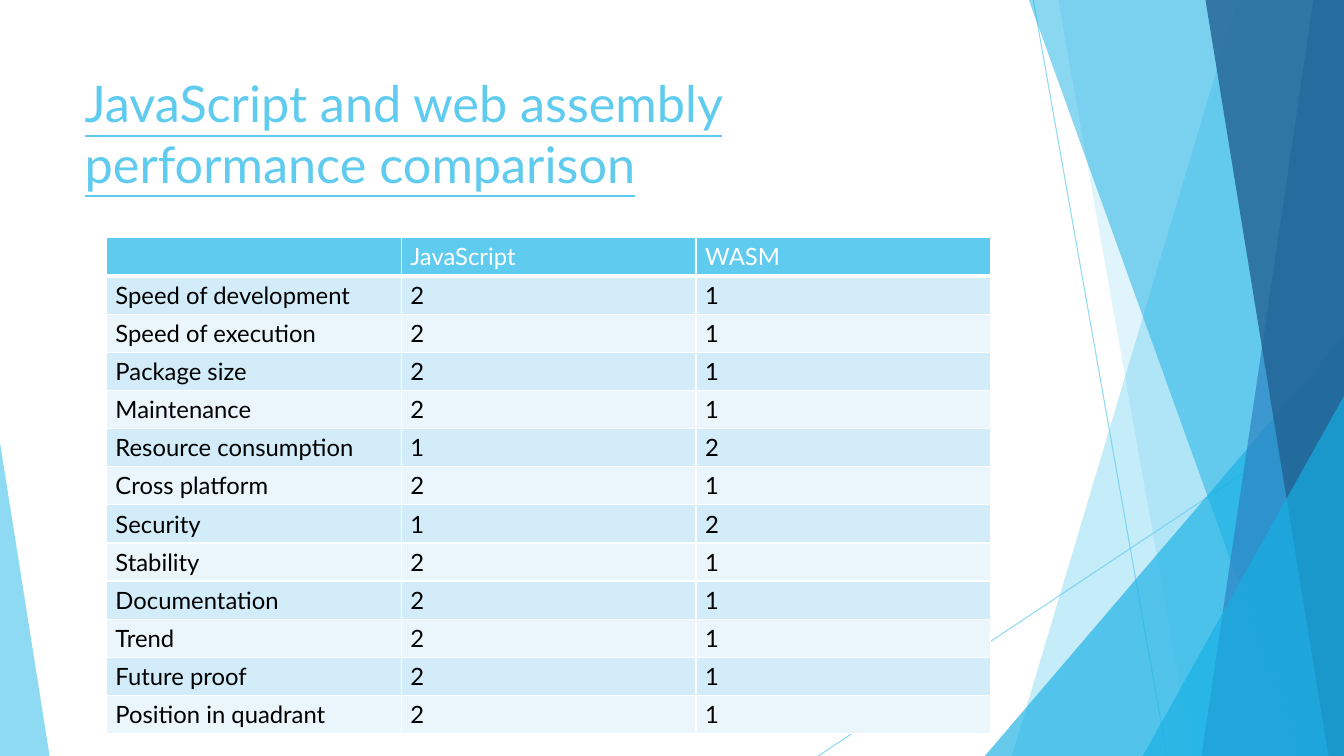
import pptx
import pptx.dml.color
import pptx.enum.shapes
import pptx.enum.text
import pptx.oxml
import pptx.oxml.ns
import pptx.util
from dataclasses import dataclass
from lxml import etree

Cm = pptx.util.Cm
Pt = pptx.util.Pt
qn = pptx.oxml.ns.qn
WIDTH, HEIGHT = 33.87, 19.05


@dataclass(frozen=True)
class Theme:
    font: str = "Lato"
    title_size: float = 36
    table_size: float = 17
    sky: str = "5FCBEF"
    cyan: str = "17B0E4"
    blue: str = "2E83C3"
    navy: str = "226292"
    white: str = "FFFFFF"
    black: str = "000000"
    band_dark: str = "D2ECF9"
    band_light: str = "EAF6FC"


THEME = Theme()

ROWS = [
    ("", "JavaScript", "WASM"),
    ("Speed of development", "2", "1"),
    ("Speed of execution", "2", "1"),
    ("Package size", "2", "1"),
    ("Maintenance", "2", "1"),
    ("Resource consumption", "1", "2"),
    ("Cross platform", "2", "1"),
    ("Security", "1", "2"),
    ("Stability", "2", "1"),
    ("Documentation", "2", "1"),
    ("Trend", "2", "1"),
    ("Future proof", "2", "1"),
    ("Position in quadrant", "2", "1"),
]


def rgb(color):
    return pptx.dml.color.RGBColor.from_string(color)


def set_paint(fill, color, alpha=100):
    fill.solid()
    fill.fore_color.rgb = rgb(color)
    if alpha < 100:
        clr = fill._xPr.find(".//" + qn("a:srgbClr"))
        etree.SubElement(clr, qn("a:alpha"), val=str(alpha * 1000))


def write_text(tf, text, size, color, underline=False):
    p = tf.paragraphs[0]
    p.alignment = pptx.enum.text.PP_ALIGN.LEFT
    if not text:
        # An empty cell still needs its type size to keep the row height
        etree.SubElement(p._p, qn("a:endParaRPr"), sz=str(int(size * 100)))
        return
    r = p.add_run()
    r.text = text
    r.font.name = THEME.font
    r.font.size = Pt(size)
    r.font.bold = False
    r.font.underline = underline
    r.font.color.rgb = rgb(color)


def add_line(s, x1, y1, x2, y2):
    line = s.shapes.add_connector(pptx.enum.shapes.MSO_CONNECTOR.STRAIGHT,
                                  Cm(x1), Cm(y1), Cm(x2), Cm(y2))
    line.line.width = Pt(0.75)
    set_paint(line.line.fill, THEME.sky, 70)
    etree.SubElement(line._element.spPr, qn("a:effectLst"))


def finish_shape(sp, color, alpha):
    sp.shadow.inherit = False
    sp.line.fill.background()
    set_paint(sp.fill, color, alpha)


def add_shard(s, top_x, bottom_x, color, alpha):
    """Full-height shape between a slanted left edge and the slide's right edge."""
    fb = s.shapes.build_freeform(Cm(top_x), 0)
    fb.add_line_segments([(Cm(WIDTH), 0), (Cm(WIDTH), Cm(HEIGHT)),
                          (Cm(bottom_x), Cm(HEIGHT))], close=True)
    finish_shape(fb.convert_to_shape(), color, alpha)


def add_corner(s, x, y, width, apex, color, alpha):
    """Triangle standing on the bottom edge of the slide."""
    sp = s.shapes.add_shape(pptx.enum.shapes.MSO_SHAPE.ISOSCELES_TRIANGLE,
                            Cm(x), Cm(y), Cm(width), Cm(HEIGHT - y))
    sp.adjustments[0] = apex
    finish_shape(sp, color, alpha)


def add_decoration(s):
    add_line(s, 26.04, 0, 29.41, HEIGHT)
    add_line(s, WIDTH, 10.24, 20.62, HEIGHT)
    add_shard(s, 31.19, 25.5, THEME.sky, 36)
    add_shard(s, 26.67, 30.05, THEME.sky, 20)
    add_corner(s, 24.82, 8.46, 9.05, 1, THEME.cyan, 66)
    add_shard(s, 25.93, 32.79, THEME.cyan, 50)
    add_shard(s, 33.1, 30.28, THEME.blue, 70)
    add_shard(s, 30.38, 33.48, THEME.navy, 80)
    add_corner(s, 28.8, 9.98, 5.07, 1, THEME.cyan, 66)
    add_corner(s, 0, 11.15, 1.25, 0, THEME.sky, 70)


def set_title(s, text):
    sp = s.shapes.title
    sp.left, sp.top, sp.width, sp.height = Cm(1.88), Cm(1.7), Cm(23.7), Cm(3.66)
    tf = sp.text_frame
    tf.word_wrap = True
    tf.auto_size = pptx.enum.text.MSO_AUTO_SIZE.NONE
    tf.vertical_anchor = pptx.enum.text.MSO_ANCHOR.TOP
    write_text(tf, text, THEME.title_size, THEME.sky, underline=True)


def set_borders(cell, **widths):
    tcPr = cell._tc.get_or_add_tcPr()
    for i, (side, width) in enumerate(widths.items()):
        ln = etree.Element(qn("a:" + side), w=str(Pt(width)))
        fill = etree.SubElement(ln, qn("a:solidFill"))
        etree.SubElement(fill, qn("a:srgbClr"), val=THEME.white)
        tcPr.insert(i, ln)


def add_comparison(s, rows):
    col_w, row_h = 7.43, 0.96
    n_cols = len(rows[0])
    table = s.shapes.add_table(len(rows), n_cols, Cm(2.68), Cm(5.98),
                               Cm(col_w * n_cols), Cm(row_h * len(rows))).table
    for col in table.columns:
        col.width = Cm(col_w)
    for i, values in enumerate(rows):
        table.rows[i].height = Cm(row_h)
        header = i == 0
        band = THEME.band_dark if i % 2 else THEME.band_light
        for j, value in enumerate(values):
            cell = table.cell(i, j)
            cell.margin_left = cell.margin_right = Cm(0.23)
            cell.margin_top = cell.margin_bottom = Cm(0.12)
            set_paint(cell.fill, THEME.sky if header else band)
            set_borders(cell, lnL=1, lnR=1, lnT=3 if i == 1 else 1,
                        lnB=3 if header else 1)
            write_text(cell.text_frame, value, THEME.table_size,
                       THEME.white if header else THEME.black)


def main():
    prs = pptx.Presentation()
    prs.slide_width, prs.slide_height = Cm(WIDTH), Cm(HEIGHT)
    s = prs.slides.add_slide(prs.slide_layouts[5])
    # Background shapes, then the content
    add_decoration(s)
    set_title(s, "JavaScript and web assembly performance comparison")
    add_comparison(s, ROWS)
    prs.save("out.pptx")


if __name__ == "__main__":
    main()
